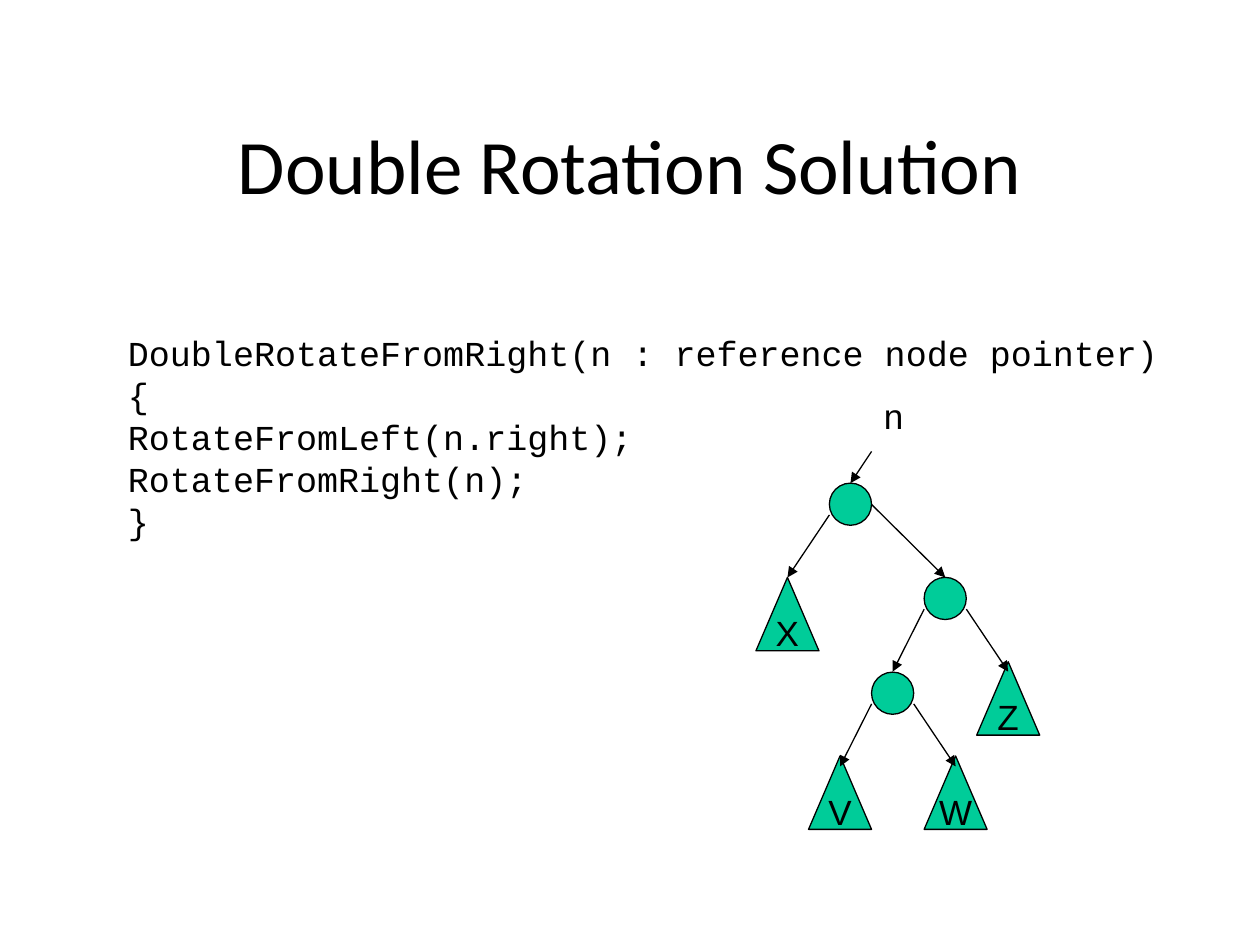
from lxml import etree
from pptx import Presentation
from pptx import util as u
from pptx.dml.color import RGBColor
from pptx.enum import shapes, text
from pptx.oxml.ns import qn

BLACK = RGBColor(0x00, 0x00, 0x00)
GREEN = RGBColor(0x00, 0xCC, 0x99)

NODE = 0.85                  # circle diameter, cm
TREE_W, TREE_H = 1.27, 1.48  # subtree triangle, cm
LEVEL = 1.9                  # drop from a node to its arrow tips, cm
LOW, MIDDLE = 0.64, 0.43     # where an arrow leaves a node, below its top, cm


class SlideBuilder:
    """Holds the style and the current slide."""

    title_font, label_font, code_font = "Calibri", "Arial", "Courier New"
    size, leading, line_width = u.Pt(20), u.Pt(24), u.Pt(0.75)

    def __init__(self, slide):
        self.s = slide

    def run(self, p, words, font, size):
        r = p.add_run()
        r.text = words
        r.font.name, r.font.size = font, size
        r.font.color.rgb = BLACK

    def title(self, words, x, y, w, h):
        sp = self.s.shapes.title
        sp.left, sp.top, sp.width, sp.height = map(u.Cm, (x, y, w, h))
        tf = sp.text_frame
        tf.vertical_anchor = text.MSO_ANCHOR.MIDDLE
        p = tf.paragraphs[0]
        p.alignment = text.PP_ALIGN.CENTER
        self.run(p, words, self.title_font, u.Pt(44))

    def lines(self, words, x, y, w, h, font, wrap):
        sp = self.s.shapes.add_textbox(*map(u.Cm, (x, y, w, h)))
        tf = sp.text_frame
        tf.word_wrap = wrap
        for i, line in enumerate(words):
            p = tf.add_paragraph() if i else tf.paragraphs[0]
            p.line_spacing = self.leading
            self.run(p, line, font, self.size)

    def outlined(self, kind, x, y, w, h):
        sp = self.s.shapes.add_shape(kind, *map(u.Cm, (x, y, w, h)))
        sp.shadow.inherit = False
        sp.fill.solid()
        sp.fill.fore_color.rgb = GREEN
        sp.line.color.rgb = BLACK
        sp.line.width = self.line_width
        return sp

    def node(self, x, y):
        self.outlined(shapes.MSO_SHAPE.OVAL, x, y, NODE, NODE)

    def subtree(self, name, x, y):
        sp = self.outlined(shapes.MSO_SHAPE.ISOSCELES_TRIANGLE, x, y, TREE_W, TREE_H)
        tf = sp.text_frame
        tf.word_wrap = False
        tf.vertical_anchor = text.MSO_ANCHOR.MIDDLE
        p = tf.paragraphs[0]
        p.alignment = text.PP_ALIGN.CENTER
        p.line_spacing = self.leading
        self.run(p, name, self.label_font, self.size)

    def arrow(self, x1, y1, x2, y2):
        c = self.s.shapes.add_connector(
            shapes.MSO_CONNECTOR.STRAIGHT, *map(u.Cm, (x1, y1, x2, y2)))
        c.line.color.rgb = BLACK
        c.line.width = self.line_width
        etree.SubElement(c.line._get_or_add_ln(), qn("a:tailEnd"), type="triangle")
        etree.SubElement(c._element.spPr, qn("a:effectLst"))


def main():
    prs = Presentation()
    prs.slide_width, prs.slide_height = u.Cm(25.4), u.Cm(19.05)
    b = SlideBuilder(prs.slides.add_slide(prs.slide_layouts[5]))

    # Title and code
    b.title("Double Rotation Solution", 1.9, 1.7, 21.6, 3.18)
    b.lines(["DoubleRotateFromRight(n : reference node pointer) {",
             "RotateFromLeft(n.right);", "RotateFromRight(n);", "}"],
            2.33, 6.56, 22.05, 3.66, b.code_font, wrap=True)

    # Tree: left and top of every node and subtree
    nodes = {"root": (16.72, 9.74), "right": (18.63, 11.64), "inner": (17.57, 13.55)}
    subtrees = {"X": (15.24, 11.64), "V": (16.3, 15.24),
                "W": (18.63, 15.24), "Z": (19.69, 13.34)}
    for place in nodes.values():
        b.node(*place)
    for name, place in subtrees.items():
        b.subtree(name, *place)

    # Arrows from each node to its left and right child
    centres = {k: x + NODE / 2 for k, (x, y) in nodes.items()}
    centres.update({k: x + TREE_W / 2 for k, (x, y) in subtrees.items()})
    children = {"root": ("X", "right"), "right": ("inner", "Z"), "inner": ("V", "W")}
    for parent, (left, right) in children.items():
        x, y = nodes[parent]
        b.arrow(x, y + LOW, centres[left], y + LEVEL)
        exit_y = MIDDLE if parent == "root" else LOW
        b.arrow(x + NODE, y + exit_y, centres[right], y + LEVEL)

    # Reference n pointing at the root
    b.lines(["n"], 17.57, 7.83, 0.9, 1.11, b.label_font, wrap=False)
    b.arrow(17.57, 9.1, centres["root"], nodes["root"][1])

    prs.save("out.pptx")


if __name__ == "__main__":
    main()
